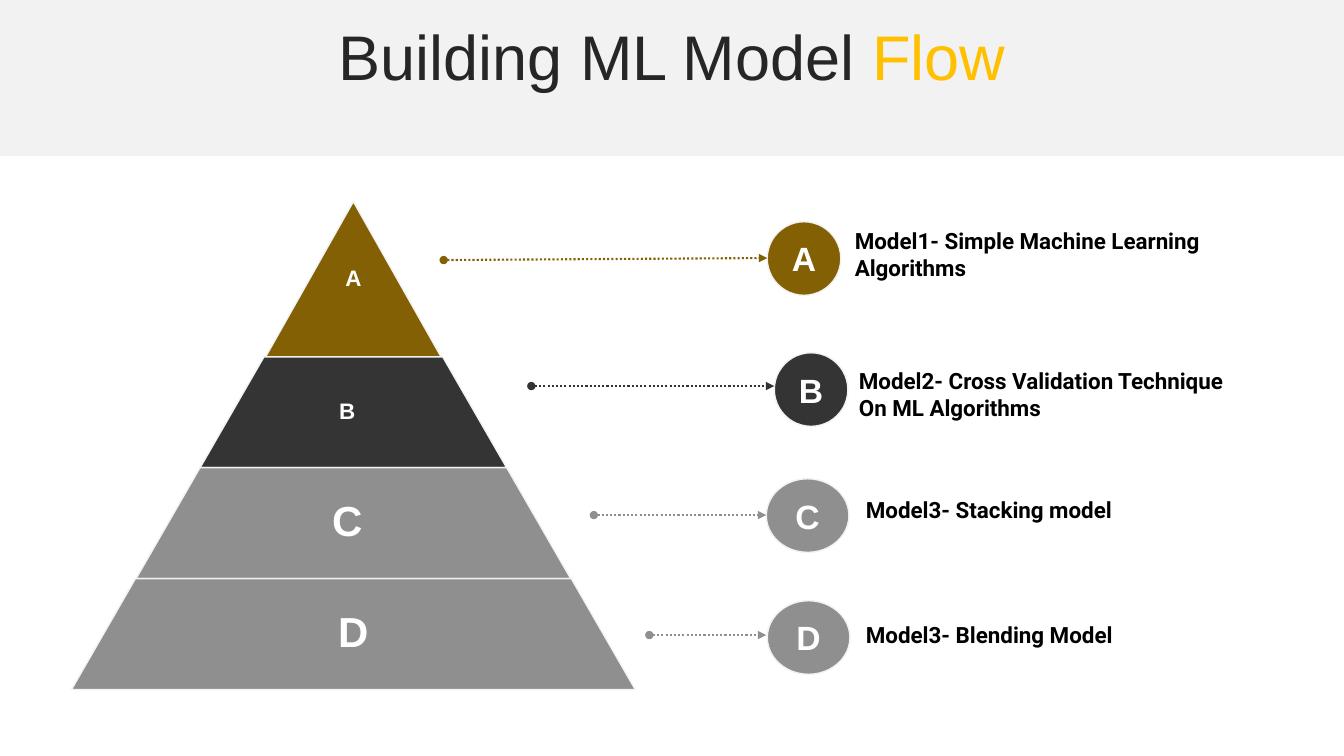
from dataclasses import dataclass

from lxml.etree import SubElement
from pptx import Presentation
from pptx.dml.color import RGBColor
from pptx.enum.dml import MSO_LINE
from pptx.enum.shapes import MSO_CONNECTOR as Connector, MSO_SHAPE as Preset
from pptx.enum.text import MSO_ANCHOR as Anchor, PP_ALIGN as Align
from pptx.oxml.ns import qn
from pptx.util import Inches, Pt

COLORS = {
    "band": "F2F2F2", "title": "262626", "accent": "FFC000",
    "bronze": "836004", "charcoal": "343434", "gray": "8F8F8F",
    "white": "FFFFFF", "black": "000000",
}
PYRAMID_CENTER, PYRAMID_TOP = 3.505, 2.0
TIER_SLOPE = 0.576
BADGE_HEIGHT = 0.73


@dataclass
class Model:
    letter: str
    color: str
    caption: str
    tier_width: float
    tier_height: float
    letter_size: int
    letter_shift: float
    badge_left: float
    badge_top: float
    badge_width: float
    arrow_start: tuple[float, float]
    arrow_end: tuple[float, float]
    caption_box: tuple[float, float, float, float]


MODELS = [
    Model("A", "bronze", "Model1- Simple Machine Learning Algorithms",
          1.74, 1.54, 16, 0, 7.61, 2.2, 0.73,
          (4.4, 2.58), (7.61, 2.56), (8.38, 2.2, 4.13, 0.64)),
    Model("B", "charcoal", "Model2- Cross Validation Technique On ML Algorithms",
          3.04, 1.1, 16, -0.06, 7.68, 3.5, 0.73,
          (5.27, 3.83), (7.68, 3.83), (8.42, 3.59, 3.85, 0.64)),
    Model("C", "gray", "Model3- Stacking model",
          4.31, 1.1, 30, -0.06, 7.6, 4.75, 0.82,
          (5.89, 5.11), (7.6, 5.11), (8.49, 4.87, 4.13, 0.37)),
    Model("D", "gray", "Model3- Blending Model",
          5.59, 1.1, 30, 0, 7.61, 5.96, 0.82,
          (6.44, 6.3), (7.6, 6.3), (8.49, 6.11, 4.13, 0.37)),
]


def rgb(color: str) -> RGBColor:
    return RGBColor.from_string(COLORS[color])


def add_block(slide, preset, box: tuple, fill: str, outlined: bool = True):
    block = slide.shapes.add_shape(preset, *map(Inches, box))
    block.shadow.inherit = False
    block.fill.solid()
    block.fill.fore_color.rgb = rgb(fill)
    if outlined:
        block.line.color.rgb = rgb("band")
        block.line.width = Pt(1)
    else:
        block.line.fill.background()
    return block


def write(holder, text: str, size: int, color: str, font: str = "Arial",
          bold: bool = True, align=Align.CENTER, spacing: float = 1.0):
    frame = holder.text_frame
    frame.word_wrap = True
    frame.vertical_anchor = Anchor.MIDDLE
    paragraph = frame.paragraphs[0]
    paragraph.text = text
    paragraph.alignment = align
    paragraph.line_spacing = spacing
    paragraph.font.name = font
    paragraph.font.size = Pt(size)
    paragraph.font.bold = bold
    paragraph.font.color.rgb = rgb(color)
    return paragraph


def add_textbox(slide, box: tuple):
    return slide.shapes.add_textbox(*map(Inches, box))


def add_tier(slide, model: Model, top: float) -> None:
    box = (PYRAMID_CENTER - model.tier_width / 2, top,
           model.tier_width, model.tier_height)
    tier = add_block(slide, Preset.TRAPEZOID, box, model.color)
    tier.adjustments[0] = TIER_SLOPE
    letter = add_textbox(slide, (box[0] + model.letter_shift, *box[1:]))
    write(letter, model.letter, model.letter_size, "white", spacing=0.9)


def add_arrow(slide, model: Model) -> None:
    arrow = slide.shapes.add_connector(
        Connector.STRAIGHT, *map(Inches, model.arrow_start + model.arrow_end))
    arrow.line.color.rgb = rgb(model.color)
    arrow.line.width = Pt(1.5)
    arrow.line.dash_style = MSO_LINE.ROUND_DOT
    outline = arrow.line._get_or_add_ln()
    SubElement(outline, qn("a:headEnd"), type="oval")
    SubElement(outline, qn("a:tailEnd"), type="triangle")
    SubElement(arrow._element.spPr, qn("a:effectLst"))


def add_badge(slide, model: Model) -> None:
    badge = add_block(slide, Preset.OVAL, (model.badge_left, model.badge_top,
                      model.badge_width, BADGE_HEIGHT), model.color)
    write(badge, model.letter, 24, "white")


def add_caption(slide, model: Model) -> None:
    write(add_textbox(slide, model.caption_box), model.caption, 16, "black",
          font="Roboto", align=Align.LEFT)


def main() -> None:
    deck = Presentation()
    deck.slide_width, deck.slide_height = Inches(13.33), Inches(7.5)
    slide = deck.slides.add_slide(deck.slide_layouts[6])

    # Title band
    add_block(slide, Preset.RECTANGLE, (0, 0, 13.33, 1.55), "band", outlined=False)
    title = write(add_textbox(slide, (0, 0.18, 13.33, 0.84)), "Building ML Model ",
                  45, "title", bold=False, spacing=0.9)
    flow = title.add_run()
    flow.text = "Flow"
    flow.font.color.rgb = rgb("accent")

    # Pyramid tiers, from the tip down
    top = PYRAMID_TOP
    for model in MODELS:
        add_tier(slide, model, top)
        top += model.tier_height

    # Legend: badge, arrow and caption for each model
    for model in MODELS:
        add_badge(slide, model)
        add_arrow(slide, model)
        add_caption(slide, model)

    deck.save("out.pptx")


if __name__ == "__main__":
    main()
